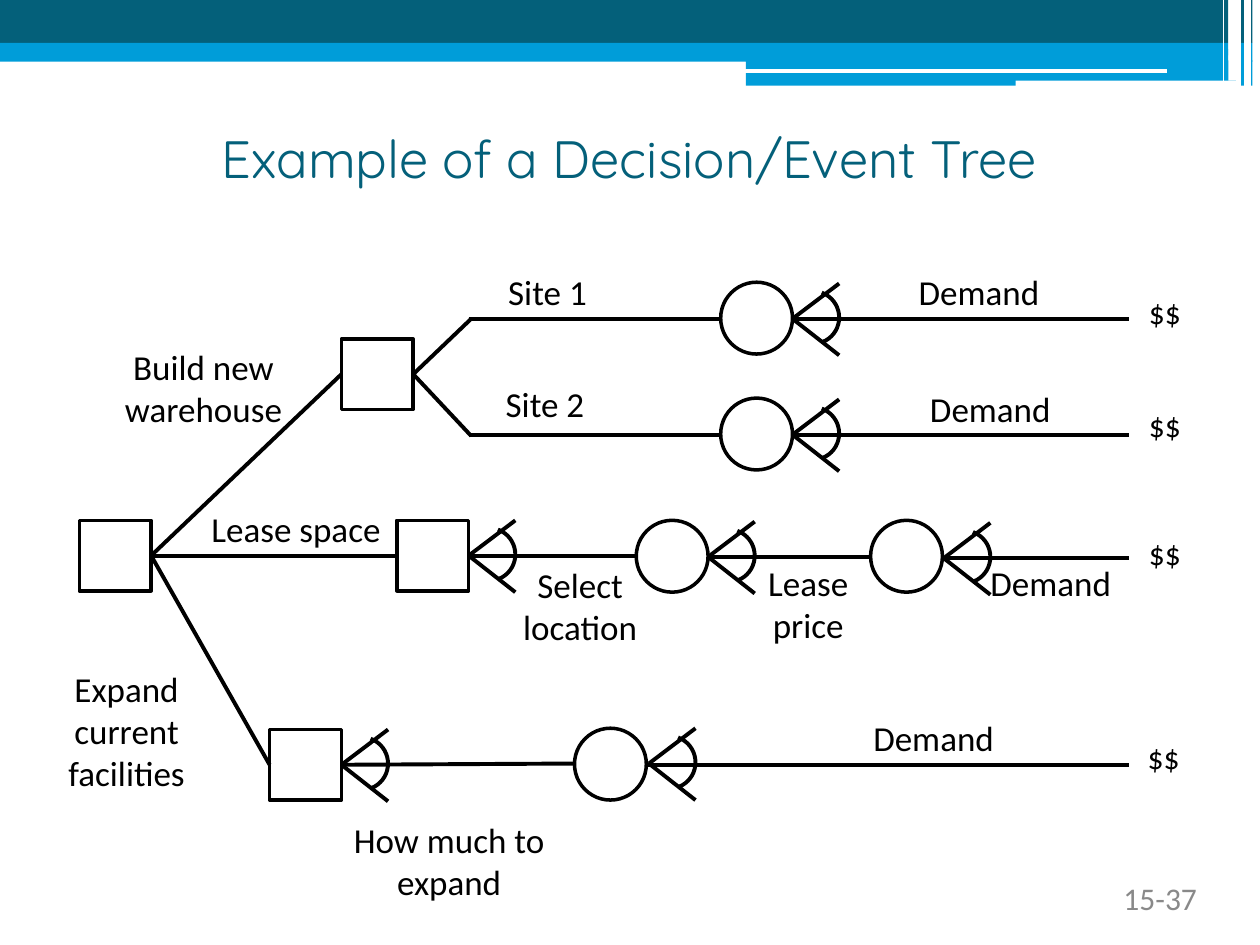
"""Draw a decision and event tree slide."""
from typing import NamedTuple, Optional

from lxml.etree import SubElement
from pptx import Presentation
from pptx.dml.color import RGBColor
from pptx.enum.shapes import MSO_CONNECTOR, MSO_SHAPE
from pptx.enum.text import MSO_ANCHOR, MSO_AUTO_SIZE, PP_ALIGN
from pptx.oxml.ns import qn
from pptx.util import Inches, Pt

BLACK = RGBColor(0x00, 0x00, 0x00)
WHITE = RGBColor(0xFF, 0xFF, 0xFF)
TEAL = RGBColor(0x04, 0x60, 0x7A)
BLUE = RGBColor(0x00, 0x9D, 0xD9)
GRAY = RGBColor(0x89, 0x89, 0x89)
LEFT, MID, RIGHT = PP_ALIGN.LEFT, PP_ALIGN.CENTER, PP_ALIGN.RIGHT


class Bar(NamedTuple):
    x: float
    y: float
    w: float
    h: float
    fill: RGBColor


class Node(NamedTuple):
    name: str
    kind: MSO_SHAPE
    x: float
    y: float
    h: float


class Line(NamedTuple):
    x1: float
    y1: float
    x2: float
    y2: float
    tail: Optional[str] = None
    head: Optional[str] = None
    ink: RGBColor = BLACK
    width: float = 2.25


class Fan(NamedTuple):
    x: float
    y: float
    tail: Optional[str] = None


class Label(NamedTuple):
    text: str
    x: float
    y: float
    w: float
    h: float
    size: float = 20
    align: PP_ALIGN = MID
    font: str = "Calibri"
    ink: RGBColor = BLACK
    plain: bool = True


BARS = [
    Bar(0, 0.34, 5.92, 0.15, BLUE),
    Bar(9.81, 0, 0.13, 0.34, TEAL),
    Bar(0, 0, 9.75, 0.34, TEAL),
    Bar(9.81, 0.34, 0.13, 0.15, BLUE),
    Bar(0, 0.34, 9.75, 0.1, BLUE),
    Bar(5.92, 0.39, 3.83, 0.1, BLUE),
    Bar(5.92, 0.48, 4.02, 0.2, BLUE),
    Bar(8.06, 0.64, 1.75, 0.05, WHITE),
    Bar(9.75, 0, 0.06, 0.64, WHITE),
]
RULES = [
    Line(5.91, 0.56, 9.26, 0.56, ink=WHITE, width=2.27),
    Line(9.91, 0, 9.91, 0.68, ink=WHITE, width=2.98),
    Line(9.88, 0, 9.88, 0.68, ink=WHITE, width=1.05),
    Line(9.83, 0, 9.83, 0.68, ink=WHITE, width=2.98),
    Line(9.71, 0, 9.71, 0.64, ink=WHITE, width=1.05),
]
BOX, RING = MSO_SHAPE.RECTANGLE, MSO_SHAPE.OVAL
NODES = [
    Node("root", BOX, 0.63, 4.13, 0.56),
    Node("build", BOX, 2.71, 2.69, 0.56),
    Node("lease", BOX, 3.15, 4.13, 0.56),
    Node("expand", BOX, 2.14, 5.79, 0.56),
    Node("site 1", RING, 5.72, 2.24, 0.57),
    Node("site 2", RING, 5.72, 3.16, 0.57),
    Node("place", RING, 5.05, 4.13, 0.57),
    Node("price", RING, 6.91, 4.13, 0.57),
    Node("growth", RING, 4.56, 5.78, 0.57),
]
LINES = [
    Line(1.2, 4.41, 2.71, 2.97, "root", "build"),
    Line(1.2, 4.41, 3.15, 4.41, "root", "lease"),
    Line(1.2, 4.41, 2.14, 6.07, "root", "expand"),
    Line(3.28, 2.97, 3.74, 2.53, "build"),
    Line(3.28, 2.97, 3.74, 3.46, "build"),
    Line(3.72, 2.53, 5.72, 2.53),
    Line(3.72, 3.45, 5.72, 3.45),
    Line(3.72, 4.41, 5.04, 4.41, "lease"),
    Line(2.71, 6.07, 4.55, 6.06, "expand"),
    Line(5.62, 4.42, 6.91, 4.42),
    Line(6.29, 2.53, 8.96, 2.53),
    Line(6.29, 3.45, 8.96, 3.45),
    Line(7.49, 4.43, 8.96, 4.43),
    Line(5.13, 6.07, 8.96, 6.07),
]
FANS = [
    Fan(2.71, 6.07, "expand"),
    Fan(3.72, 4.41, "lease"),
    Fan(5.15, 6.06),
    Fan(5.62, 4.42),
    Fan(6.29, 2.53),
    Fan(6.29, 3.45),
    Fan(7.49, 4.43),
]
LABELS = [
    Label("Example of a Decision/Event Tree", 0.56, 1, 8.87, 0.51, 30,
          font="Quicksand", ink=TEAL, plain=False),
    Label("Expand\ncurrent\nfacilities", 0.44, 5.25, 1.13, 1.1),
    Label("Build new\nwarehouse", 0.89, 2.69, 1.45, 0.77),
    Label("Lease space", 1.58, 3.98, 1.56, 0.44, align=LEFT),
    Label("How much to\nexpand", 2.66, 6.45, 1.81, 0.77),
    Label("Site 1", 3.92, 2.1, 0.85, 0.44),
    Label("Site 2", 3.9, 2.99, 0.85, 0.44),
    Label("Select\nlocation", 4.04, 4.42, 1.13, 0.77),
    Label("Lease\nprice", 5.96, 4.41, 0.91, 0.77),
    *(Label("Demand", x, y, 1.16, 0.44)
      for x, y in [(7.19, 2.1), (7.28, 3.03), (7.76, 4.41), (6.83, 5.64)]),
    *(Label("$$", x, y, 0.47, 0.4, 18, LEFT)
      for x, y in [(9.02, 2.28), (9.02, 3.17), (9.02, 4.19), (9.01, 5.81)]),
    Label("15-37", 7.2, 6.98, 2.3, 0.31, 18, RIGHT, ink=GRAY, plain=False),
]


def add_bar(shapes, bar: Bar) -> None:
    shape = shapes.add_shape(BOX, *map(Inches, bar[:4]))
    shape.shadow.inherit = False
    shape.fill.solid()
    shape.fill.fore_color.rgb = bar.fill
    shape.line.fill.background()


def add_shape(shapes, kind: MSO_SHAPE, x: float, y: float, w: float, h: float, width: float):
    shape = shapes.add_shape(kind, Inches(x), Inches(y), Inches(w), Inches(h))
    shape.shadow.inherit = False
    shape.fill.background()
    shape.line.color.rgb = BLACK
    shape.line.width = Pt(width)
    return shape


def add_line(shapes, line: Line, nodes: dict) -> None:
    link = shapes.add_connector(MSO_CONNECTOR.STRAIGHT, *map(Inches, line[:4]))
    if line.tail:
        link.begin_connect(nodes[line.tail], 3)
    if line.head:
        link.end_connect(nodes[line.head], 1)
    link.line.color.rgb = line.ink
    link.line.width = Pt(line.width)
    SubElement(link._element.spPr, qn("a:effectLst"))


def add_fan(shapes, fan: Fan, nodes: dict) -> None:
    for rise in (-0.28, 0.29):
        add_line(shapes, Line(fan.x, fan.y, fan.x + 0.37, fan.y + rise, fan.tail), nodes)
    arc = add_shape(shapes, MSO_SHAPE.ARC, fan.x - 0.05, fan.y - 0.22, 0.42, 0.42, 2.25)
    for spot, angle in enumerate((290, 70)):
        arc.adjustments[spot] = angle * 0.6


def add_label(shapes, label: Label) -> None:
    frame = shapes.add_textbox(*map(Inches, label[1:5])).text_frame
    frame.word_wrap = not label.plain
    frame.auto_size = MSO_AUTO_SIZE.SHAPE_TO_FIT_TEXT
    frame.vertical_anchor = MSO_ANCHOR.TOP
    side, edge = (0.1, 0.05) if label.plain else (0, 0)
    frame.margin_left = frame.margin_right = Inches(side)
    frame.margin_top = frame.margin_bottom = Inches(edge)
    para = frame.paragraphs[0]
    para.alignment = label.align
    for count, text in enumerate(label.text.split("\n")):
        if count:
            para.add_line_break()
        run = para.add_run()
        run.text = text
        run.font.name = label.font
        run.font.size = Pt(label.size)
        run.font.color.rgb = label.ink


def main() -> None:
    deck = Presentation()
    deck.slide_width, deck.slide_height = Inches(10), Inches(7.5)
    shapes = deck.slides.add_slide(deck.slide_layouts[6]).shapes
    for bar in BARS:
        add_bar(shapes, bar)
    nodes = {n.name: add_shape(shapes, n.kind, n.x, n.y, 0.57, n.h, 2) for n in NODES}
    for line in RULES + LINES:
        add_line(shapes, line, nodes)
    for fan in FANS:
        add_fan(shapes, fan, nodes)
    for label in LABELS:
        add_label(shapes, label)
    deck.save("out.pptx")


if __name__ == "__main__":
    main()
